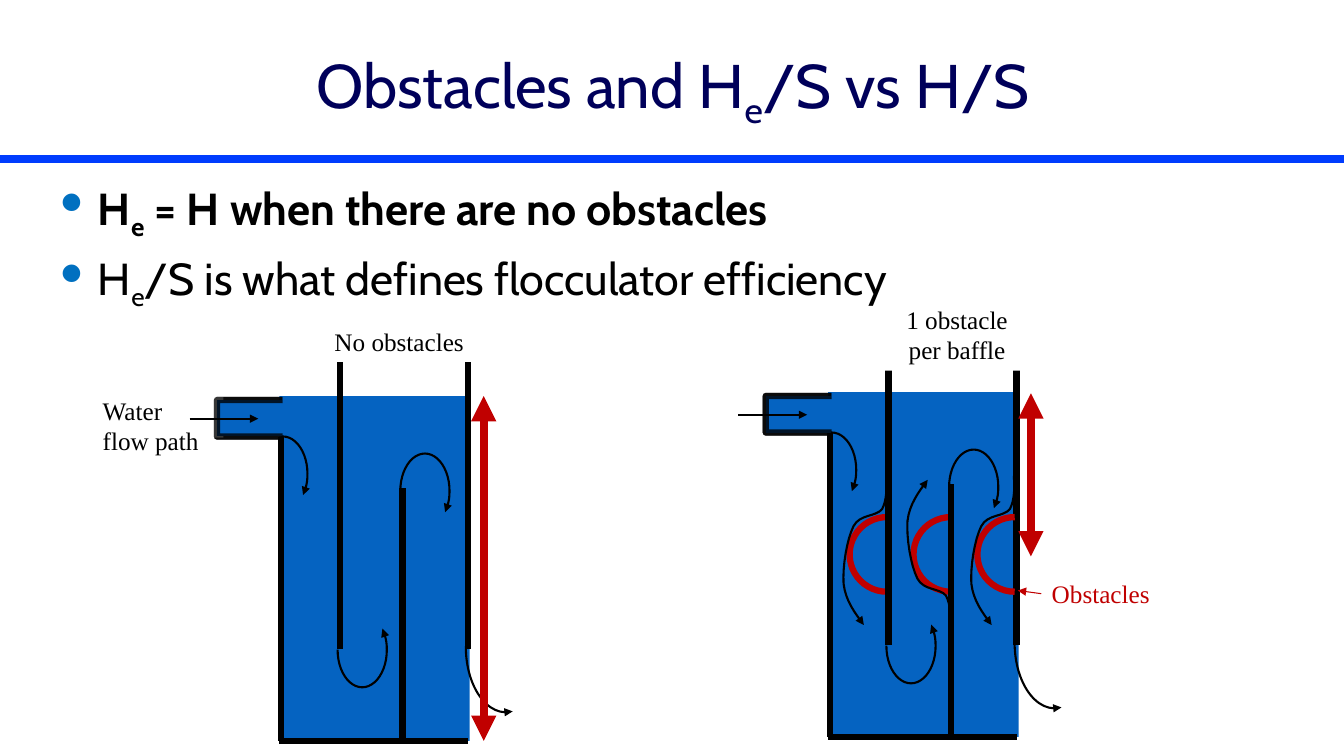
"""Build the slide that compares flocculator baffles without and with obstacles."""
from dataclasses import dataclass
from typing import NamedTuple

from lxml.etree import SubElement
from pptx import Presentation
from pptx.dml.color import RGBColor
from pptx.enum.shapes import MSO_CONNECTOR, MSO_SHAPE
from pptx.enum.text import MSO_ANCHOR, PP_ALIGN
from pptx.oxml.ns import qn
from pptx.util import Cm, Pt

COLORS = {"navy": "00005A", "rule": "003CFE", "bullet": "0070C0", "black": "000000",
          "water": "0563C1", "pipe": "678EFD", "red": "C00000", "white": "FFFFFF"}


class Point(NamedTuple):
    x: float
    y: float


class Box(NamedTuple):
    x: float
    y: float
    w: float
    h: float


@dataclass(frozen=True)
class Stroke:
    color: str = "black"
    width: float = 4.5
    head: bool = False
    tail: bool = False
    alpha: int = 100


@dataclass(frozen=True)
class Segment:
    start: Point
    end: Point
    stroke: Stroke = Stroke()


@dataclass(frozen=True)
class Arc:
    box: Box
    angles: tuple[float, float]
    stroke: Stroke = Stroke(width=1.5, head=True)
    flip: bool = False
    rotation: int = 0


@dataclass(frozen=True)
class Label:
    box: Box
    lines: tuple[str, ...]
    color: str = "black"
    fill: str = ""
    align: PP_ALIGN = PP_ALIGN.LEFT


FLOW = Stroke(width=1.5, tail=True)
SPAN = Stroke("red", 6, head=True, tail=True)
PIPE = Stroke(alpha=78)
TANKS = [Point(7.04, 9.98), Point(20.87, 9.88)]
WATER = Box(0, 0, 4.8, 8.69)
INLET = [Point(0.08, 0.1), Point(-1.57, 0.1), Point(-1.57, 1.02), Point(0.08, 1.02)]
WALLS = [Segment(Point(4.75, 6.38), Point(4.75, -1.8)),
         Segment(Point(0.05, 8.69), Point(0.05, 1.02)),
         Segment(Point(4.75, 8.69), Point(0, 8.69))]
BAFFLES = [Segment(Point(1.52, 6.38), Point(1.52, -1.8)),
           Segment(Point(3.1, 8.74), Point(3.1, 2.31)),
           Segment(Point(-2.26, 0.57), Point(-0.53, 0.57), FLOW)]
TURNS = [Arc(Box(1.47, 5.46, 1.24, 1.88), (188.05, 108.64)),
         Arc(Box(3.05, 1.45, 1.24, 1.88), (188.05, 108.64), flip=True),
         Arc(Box(-0.53, 1.02, 1.24, 1.88), (188.05, 55.66), flip=True),
         Arc(Box(4.7, 4.67, 2.03, 3.3), (50.5, 108.64))]
DETOUR = [Point(22.33, 11.99),
          Point(22.35, 12.29), Point(22.35, 12.6), Point(22.23, 12.83),
          Point(22.07, 13.03), Point(21.67, 12.95), Point(21.51, 13.26),
          Point(21.34, 13.59), Point(21.23, 14.3), Point(21.26, 14.71),
          Point(21.31, 15.14), Point(21.54, 15.44), Point(21.77, 15.75)]
OBSTACLE = Box(21.41, 13.03, 1.88, 1.88)
PITCH, MIRROR, STEPS = 1.61, 27.84, 8
HEIGHTS = [Segment(Point(12.19, 9.98), Point(12.19, 18.67), SPAN),
           Segment(Point(25.98, 9.91), Point(25.98, 14.02), SPAN)]
LABELS = [Label(Box(2.34, 9.83, 2.95, 1.8), ("Water", "flow path")),
          Label(Box(8.18, 8.1, 3.81, 1.02), ("No obstacles",), fill="white"),
          Label(Box(22.28, 7.54, 3.68, 1.8), ("1 obstacle", "per baffle"), fill="white",
                align=PP_ALIGN.CENTER),
          Label(Box(26.24, 14.45, 3, 1.02), ("Obstacles",), "red", align=PP_ALIGN.CENTER)]
TITLE = ("Obstacles and H", "e", "/S vs H/S")
BULLETS = [(("H", "e", " = H when there are no obstacles"), True),
           (("H", "e", "/S is what defines flocculator efficiency"), False)]


def rgb(name: str) -> RGBColor:
    return RGBColor.from_string(COLORS[name])


def paint(s, fill: str) -> None:
    if fill:
        s.fill.solid()
        s.fill.fore_color.rgb = rgb(fill)
    else:
        s.fill.background()


def apply_stroke(s, stroke: Stroke) -> None:
    s.line.color.rgb = rgb(stroke.color)
    s.line.width = Pt(stroke.width)
    ln = s.line._ln
    if stroke.alpha < 100:
        SubElement(ln.find(".//" + qn("a:srgbClr")), qn("a:alpha"), val=str(stroke.alpha * 1000))
    for tag, shown in (("a:headEnd", stroke.head), ("a:tailEnd", stroke.tail)):
        if shown:
            SubElement(ln, qn(tag), type="triangle")


def add_segment(sp, seg: Segment, at: Point = Point(0, 0)):
    s = sp.add_connector(MSO_CONNECTOR.STRAIGHT, Cm(at.x + seg.start.x), Cm(at.y + seg.start.y),
                         Cm(at.x + seg.end.x), Cm(at.y + seg.end.y))
    apply_stroke(s, seg.stroke)
    SubElement(s._element.spPr, qn("a:effectLst"))
    return s


def add_preset(sp, kind: MSO_SHAPE, box: Box, fill: str = "", at: Point = Point(0, 0)):
    s = sp.add_shape(kind, Cm(at.x + box.x), Cm(at.y + box.y), Cm(box.w), Cm(box.h))
    s.shadow.inherit = False
    paint(s, fill)
    s.line.fill.background()
    return s


def add_arc(sp, arc: Arc, at: Point = Point(0, 0)) -> None:
    s = add_preset(sp, MSO_SHAPE.ARC, arc.box, at=at)
    s.adjustments[0], s.adjustments[1] = arc.angles
    s.rotation = arc.rotation
    if arc.flip:
        s._element.spPr.get_or_add_xfrm().set("flipV", "1")
    apply_stroke(s, arc.stroke)


def add_outline(sp, points: list[Point], stroke: Stroke, fill: str = "") -> None:
    pts = [(Cm(p.x), Cm(p.y)) for p in points]
    fb = sp.build_freeform(*pts[0])
    fb.add_line_segments(pts[1:], close=False)
    s = fb.convert_to_shape()
    s.shadow.inherit = False
    paint(s, fill)
    apply_stroke(s, stroke)


def add_inlet(sp, at: Point, fill: str) -> None:
    add_outline(sp, [Point(at.x + p.x, at.y + p.y) for p in INLET], PIPE, fill)


def curve(controls: list[Point]) -> list[Point]:
    points = [controls[0]]
    for i in range(0, len(controls) - 1, 3):
        for t in (n / STEPS for n in range(1, STEPS + 1)):
            weights = ((1 - t) ** 3, 3 * t * (1 - t) ** 2, 3 * t * t * (1 - t), t ** 3)
            pairs = list(zip(weights, controls[i:i + 4]))
            points.append(Point(sum(w * p.x for w, p in pairs), sum(w * p.y for w, p in pairs)))
    return points


def add_box(sp, box: Box):
    s = sp.add_textbox(*(Cm(v) for v in box))
    s.text_frame.word_wrap = True
    return s


def add_run(p, text: str, color: str, **formats):
    r = p.add_run()
    r.text = text
    for name, value in formats.items():
        setattr(r.font, name, value)
    r.font.color.rgb = rgb(color)
    return r


def add_formula(p, parts: tuple[str, ...], color: str, **formats) -> None:
    for i, text in enumerate(parts):
        r = add_run(p, text, color, name="Cabin", **formats)
        if i == 1:
            r._r.get_or_add_rPr().set("baseline", "-25000")


def add_label(sp, label: Label):
    s = add_box(sp, label.box)
    paint(s, label.fill)
    tf = s.text_frame
    tf.word_wrap = False
    for i, line in enumerate(label.lines):
        p = tf.add_paragraph() if i else tf.paragraphs[0]
        p.alignment = label.align
        add_run(p, line, label.color, name="Times New Roman", size=Pt(18))
    return s


def add_headings(sp) -> None:
    add_segment(sp, Segment(Point(0, 4.01), Point(33.87, 4.01), Stroke("rule", 6)))
    tf = add_box(sp, Box(1.27, 0.64, 31.39, 3.18)).text_frame
    tf.vertical_anchor = MSO_ANCHOR.MIDDLE
    tf.paragraphs[0].alignment = PP_ALIGN.CENTER
    add_formula(tf.paragraphs[0], TITLE, "navy", size=Pt(44))
    tf = add_box(sp, Box(1.27, 4.42, 24.69, 12.57)).text_frame
    for i, (parts, bold) in enumerate(BULLETS):
        p = tf.add_paragraph() if i else tf.paragraphs[0]
        pPr = p._p.get_or_add_pPr()
        pPr.set("marL", str(Cm(0.95)))
        pPr.set("indent", str(Cm(-0.95)))
        SubElement(SubElement(pPr, qn("a:buClr")), qn("a:srgbClr"), val=COLORS["bullet"])
        SubElement(pPr, qn("a:buSzPct"), val="150000")
        SubElement(pPr, qn("a:buChar"), char="•")
        p.space_before = Pt(6.4 * i)
        add_formula(p, parts, "black", size=Pt(32), bold=bold)


def main() -> None:
    prs = Presentation()
    prs.slide_width, prs.slide_height = Cm(33.87), Cm(19.05)
    sp = prs.slides.add_slide(prs.slide_layouts[6]).shapes
    add_headings(sp)
    for at in TANKS:
        add_preset(sp, MSO_SHAPE.RECTANGLE, WATER, "water", at)
        add_inlet(sp, at, "pipe")
        for wall in WALLS:
            add_segment(sp, wall, at)
        for turn in TURNS:
            add_arc(sp, turn, at)
    add_preset(sp, MSO_SHAPE.RECTANGLE, Box(5.38, 10.01, 0.25, 1.02), "white")
    for i in range(3):
        box = OBSTACLE._replace(x=OBSTACLE.x + i * PITCH)
        add_arc(sp, Arc(box, (162, 54), Stroke("red"), rotation=180))
        path = [Point(p.x + i * PITCH, MIRROR - p.y if i == 1 else p.y) for p in DETOUR]
        add_outline(sp, curve(path), FLOW)
    for at in TANKS:
        for baffle in BAFFLES[:2]:
            add_segment(sp, baffle, at)
        add_inlet(sp, at, "water")
        add_segment(sp, BAFFLES[2], at)
    for height in HEIGHTS:
        add_segment(sp, height)
    obstacles = [add_label(sp, label) for label in LABELS][-1]
    pointer = Segment(Point(26.24, 14.96), Point(25.65, 14.88), Stroke("red", 0.75, tail=True))
    add_segment(sp, pointer).begin_connect(obstacles, 1)
    prs.save("out.pptx")


if __name__ == "__main__":
    main()
